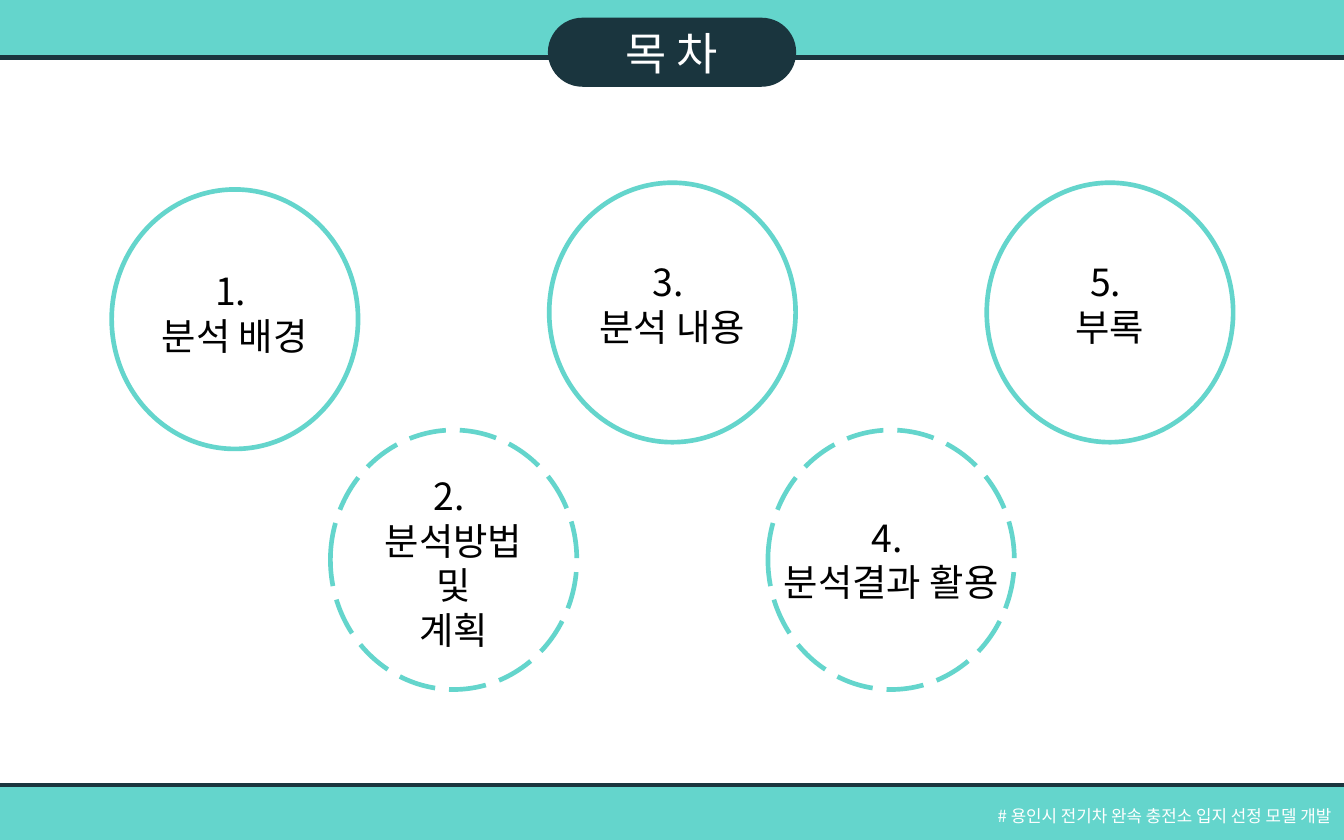
"""Build the contents slide: two bands, a title pill and five topic circles."""
from dataclasses import dataclass

from lxml.etree import SubElement
from pptx import Presentation
from pptx.dml.color import RGBColor
from pptx.dml.fill import FillFormat
from pptx.enum.dml import MSO_LINE
from pptx.enum.shapes import MSO_SHAPE
from pptx.enum.text import MSO_ANCHOR, MSO_AUTO_SIZE, PP_ALIGN
from pptx.oxml.ns import qn
from pptx.shapes.autoshape import Shape
from pptx.slide import Slide
from pptx.text.text import TextFrame
from pptx.util import Pt

FONT = "Noto Sans CJK KR"
TEAL, NAVY, WHITE, BLACK = "31C7BB", "1A353E", "FFFFFF", "000000"
CIRCLE_LEFT, CIRCLE_STEP = 59.8, 117.2
CIRCLE_WIDTH, CIRCLE_HEIGHT = 132, 139


@dataclass
class Area:
    left: float
    top: float
    width: float
    height: float

    def lengths(self) -> tuple[Pt, ...]:
        return tuple(Pt(value) for value in (self.left, self.top, self.width, self.height))


@dataclass
class Topic:
    text: str
    circle_top: float
    text_top: float
    text_height: float = 55.4
    dash: MSO_LINE = MSO_LINE.SOLID


TOPICS = [
    Topic("1. \n분석 배경", 101.5, 140.4),
    Topic("2. \n분석방법\n및\n계획", 230.4, 249.8, 104.4, MSO_LINE.LONG_DASH),
    Topic("3. \n분석 내용", 97.9, 135.4),
    Topic("4. \n분석결과 활용", 230.4, 272.2, dash=MSO_LINE.LONG_DASH),
    Topic("5. \n부록", 97.9, 135.4),
]


def paint(fill: FillFormat, color: str) -> None:
    fill.solid()
    fill.fore_color.rgb = RGBColor.from_string(color)


def fade(shape: Shape, parent: str) -> None:
    for color in shape.element.spPr.xpath(f"{parent}/a:solidFill/a:srgbClr"):
        SubElement(color, qn("a:alpha"), val="75000")


def add_outline(page: Slide, kind: MSO_SHAPE, area: Area, color: str, weight: float) -> Shape:
    shape = page.shapes.add_shape(kind, *area.lengths())
    shape.shadow.inherit = False
    shape.fill.background()
    paint(shape.line.fill, color)
    shape.line.width = Pt(weight)
    return shape


def write(frame: TextFrame, text: str, size: float, color: str,
          align: PP_ALIGN = PP_ALIGN.CENTER, spacing: float | None = None) -> None:
    frame.word_wrap = True
    frame.text = text
    for para in frame.paragraphs:
        para.alignment = align
        para.line_spacing = spacing
        for span in para.runs:
            span.font.size = Pt(size)
            span.font.name = FONT
            paint(span.font.fill, color)
            SubElement(span.font._element, qn("a:ea"), typeface=FONT)


def add_text(page: Slide, area: Area) -> TextFrame:
    frame = page.shapes.add_textbox(*area.lengths()).text_frame
    frame.auto_size = MSO_AUTO_SIZE.SHAPE_TO_FIT_TEXT
    return frame


def add_band(page: Slide, area: Area) -> None:
    band = add_outline(page, MSO_SHAPE.RECTANGLE, area, NAVY, 2.5)
    paint(band.fill, TEAL)
    fade(band, ".")


def add_title(page: Slide, text: str) -> None:
    pill = add_outline(page, MSO_SHAPE.ROUNDED_RECTANGLE, Area(294, 10, 132, 36), NAVY, 1)
    pill.adjustments[0] = 0.5
    paint(pill.fill, NAVY)
    pill.text_frame.vertical_anchor = MSO_ANCHOR.MIDDLE
    write(pill.text_frame, text, 24, WHITE)


def add_topic(page: Slide, topic: Topic, left: float) -> None:
    area = Area(left, topic.circle_top, CIRCLE_WIDTH, CIRCLE_HEIGHT)
    circle = add_outline(page, MSO_SHAPE.OVAL, area, TEAL, 2.5)
    circle.line.dash_style = topic.dash
    fade(circle, "./a:ln")
    frame = add_text(page, Area(left, topic.text_top, CIRCLE_WIDTH, topic.text_height))
    frame.margin_left = frame.margin_right = Pt(0)
    write(frame, topic.text, 20, BLACK)


def main() -> None:
    deck = Presentation()
    deck.slide_width, deck.slide_height = Pt(720), Pt(450)
    page = deck.slides.add_slide(deck.slide_layouts[6])
    paint(page.background.fill, WHITE)
    add_band(page, Area(-16, -16.5, 752, 47.5))
    add_title(page, "목 차")
    for index, topic in enumerate(TOPICS):
        add_topic(page, topic, CIRCLE_LEFT + index * CIRCLE_STEP)
    add_band(page, Area(-22.3, 420.5, 752, 41))
    footer = add_text(page, Area(490, 422.6, 230, 21.6))
    write(footer, "# 용인시 전기차 완속 충전소 입지 선정 모델 개발", 9, WHITE, PP_ALIGN.RIGHT, 1.5)
    deck.save("out.pptx")


if __name__ == "__main__":
    main()
